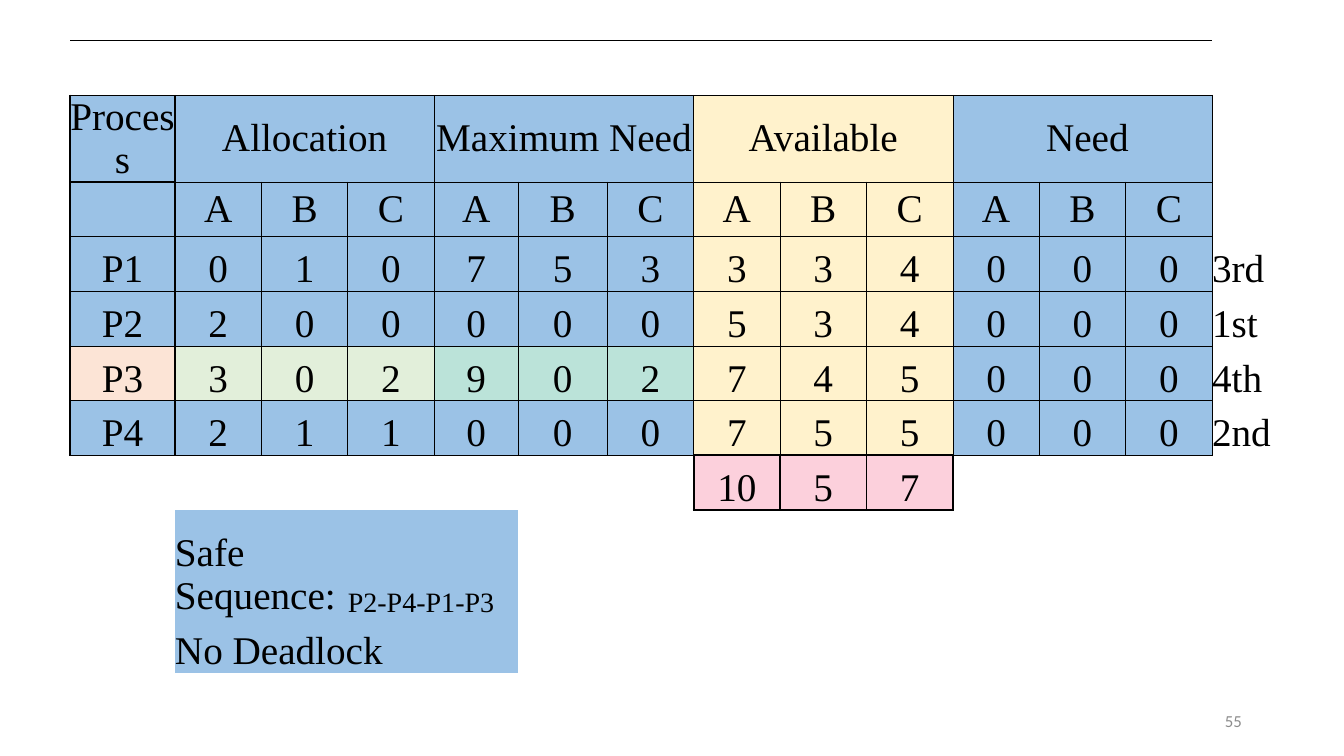
from itertools import product

from lxml.etree import SubElement
from pptx import Presentation
from pptx.dml.color import RGBColor as Rgb
from pptx.enum.text import MSO_ANCHOR as Anchor, PP_ALIGN as Align
from pptx.oxml.ns import qn
from pptx.util import Inches, Pt

COLORS = {
    "ink": "000000", "page": "8C8C8C", "blue": "9BC2E6", "cream": "FFF2CC",
    "peach": "FCE4D6", "sage": "E2EFDA", "mint": "BBE3D9", "pink": "FCD0DC",
}
PLAIN_STYLE = "{2D5ABB26-0587-4C30-8999-92F81FD0307C}"
OPPOSITE = {"L": ("R", 0, -1), "R": ("L", 0, 1), "T": ("B", -1, 0), "B": ("T", 1, 0)}

COLUMN_SHARES = [7.81] + [6.43] * 3 + [6.25, 6.62] + [6.43] * 8
ROW_SHARES = [7.23, 11.48] + [7.23] * 6 + [14.35, 7.23]
GROUPS = ["Allocation", "Maximum Need", "Available", " Need"]
PROCESSES = [
    "P1 0 1 0 7 5 3 3 3 4 0 0 0 3rd",
    "P2 2 0 0 0 0 0 5 3 4 0 0 0 1st",
    "P3 3 0 2 9 0 2 7 4 5 0 0 0 4th",
    "P4 2 1 1 0 0 0 7 5 5 0 0 0 2nd",
]
FILLS = [
    (range(1, 7), range(13), "blue"),
    (range(1, 7), range(7, 10), "cream"),
    (range(5, 6), range(1), "peach"),
    (range(5, 6), range(1, 4), "sage"),
    (range(5, 6), range(4, 7), "mint"),
    (range(7, 8), range(7, 10), "pink"),
    (range(8, 10), range(1, 5), "blue"),
]
BORDERS = [
    (range(1), range(13), "T", 1),
    (range(1, 7), range(13), "LRTB", 0.5),
    (range(1, 3), range(1), "TB", 1),
    (range(1, 7), range(1), "LR", 1),
    (range(6, 7), range(1), "B", 1),
    (range(7, 8), range(7, 10), "LRTB", 1.5),
]
MERGES = [(1, column, 3) for column in range(1, 13, 3)] + [(8, 1, 2), (8, 3, 2), (9, 1, 3)]


def write(frame, text, size=28, font="Times New Roman", color="ink", align=Align.CENTER):
    paragraph = frame.paragraphs[0]
    paragraph.alignment = align
    run = paragraph.add_run()
    run.text = text
    run.font.size = Pt(size)
    run.font.name = font
    run.font.color.rgb = Rgb.from_string(COLORS[color])


class Deck:
    def __init__(self, width=13.33, height=7.5):
        self.deck = Presentation()
        self.deck.slide_width, self.deck.slide_height = Inches(width), Inches(height)
        self.slide = self.deck.slides.add_slide(self.deck.slide_layouts[6])

    def across(self, share):
        return round(self.deck.slide_width * share / 100)

    def down(self, share):
        return round(self.deck.slide_height * share / 100)

    def area(self, left, top, width, height):
        return self.across(left), self.down(top), self.across(width), self.down(height)

    def table(self, left, top, columns, rows):
        place = self.area(left, top, sum(columns), sum(rows))
        table = self.slide.shapes.add_table(len(rows), len(columns), *place).table
        table.first_row = table.horz_banding = False
        table._tbl.tblPr.find(qn("a:tableStyleId")).text = PLAIN_STYLE
        for column, share in zip(table.columns, columns):
            column.width = self.across(share)
        for row, share in zip(table.rows, rows):
            row.height = self.down(share)
        return table

    def fill(self, cell, color):
        if color:
            cell.fill.solid()
            cell.fill.fore_color.rgb = Rgb.from_string(COLORS[color])
        else:
            cell.fill.background()

    def border(self, cell, weights):
        properties = cell._tc.get_or_add_tcPr()
        for position, side in enumerate("LRTB"):
            weight = weights.get(side, 0)
            line = SubElement(properties, qn(f"a:ln{side}"), w=str(Pt(weight)))
            if weight:
                solid = SubElement(line, qn("a:solidFill"))
                SubElement(solid, qn("a:srgbClr"), val=COLORS["ink"])
            else:
                SubElement(line, qn("a:noFill"))
            properties.insert(position, line)

    def cell_text(self, cell, text, anchor=Anchor.BOTTOM, **style):
        cell.margin_left = cell.margin_right = cell.margin_top = cell.margin_bottom = 0
        cell.vertical_anchor = anchor
        write(cell.text_frame, text, **style)

    def text_box(self, left, top, width, height, text, **style):
        frame = self.slide.shapes.add_textbox(*self.area(left, top, width, height)).text_frame
        frame.word_wrap = True
        frame.vertical_anchor = Anchor.MIDDLE
        write(frame, text, **style)


def main():
    deck = Deck()
    allocation = deck.table(5.21, 5.36, COLUMN_SHARES, ROW_SHARES)
    places = list(product(range(len(ROW_SHARES)), range(len(COLUMN_SHARES))))

    fills = {}
    for rows, columns, color in FILLS:
        fills.update(dict.fromkeys(product(rows, columns), color))
    borders = {place: {} for place in places}
    for rows, columns, sides, weight in BORDERS:
        for row, column, side in product(rows, columns, sides):
            borders[row, column][side] = weight
            facing, row_step, column_step = OPPOSITE[side]
            borders.get((row + row_step, column + column_step), {})[facing] = weight
    for place in places:
        deck.fill(allocation.cell(*place), fills.get(place))
        deck.border(allocation.cell(*place), borders[place])
    for row, column, span in MERGES:
        allocation.cell(row, column).merge(allocation.cell(row, column + span - 1))

    deck.cell_text(allocation.cell(1, 0), "Process", anchor=Anchor.MIDDLE)
    for index, group in enumerate(GROUPS):
        deck.cell_text(allocation.cell(1, 3 * index + 1), group, anchor=Anchor.MIDDLE)
    for column, resource in enumerate("ABC" * len(GROUPS), 1):
        deck.cell_text(allocation.cell(2, column), resource, anchor=Anchor.MIDDLE)
    for row, process in enumerate(PROCESSES, 3):
        *values, finish = process.split()
        for column, value in enumerate(values):
            deck.cell_text(allocation.cell(row, column), value)
        deck.cell_text(allocation.cell(row, 13), finish, align=Align.LEFT)
    for column, total in enumerate(["10", "5", "7"], 7):
        deck.cell_text(allocation.cell(7, column), total)
    deck.cell_text(allocation.cell(8, 1), "Safe Sequence:", align=Align.LEFT)
    deck.cell_text(allocation.cell(8, 3), "P2-P4-P1-P3", size=20, align=Align.LEFT)
    deck.cell_text(allocation.cell(9, 1), "No Deadlock", align=Align.LEFT)

    deck.text_box(70.65, 92.67, 22.5, 5.33, "55", size=12, font="Calibri",
                  color="page", align=Align.RIGHT)
    deck.deck.save("out.pptx")


if __name__ == "__main__":
    main()
